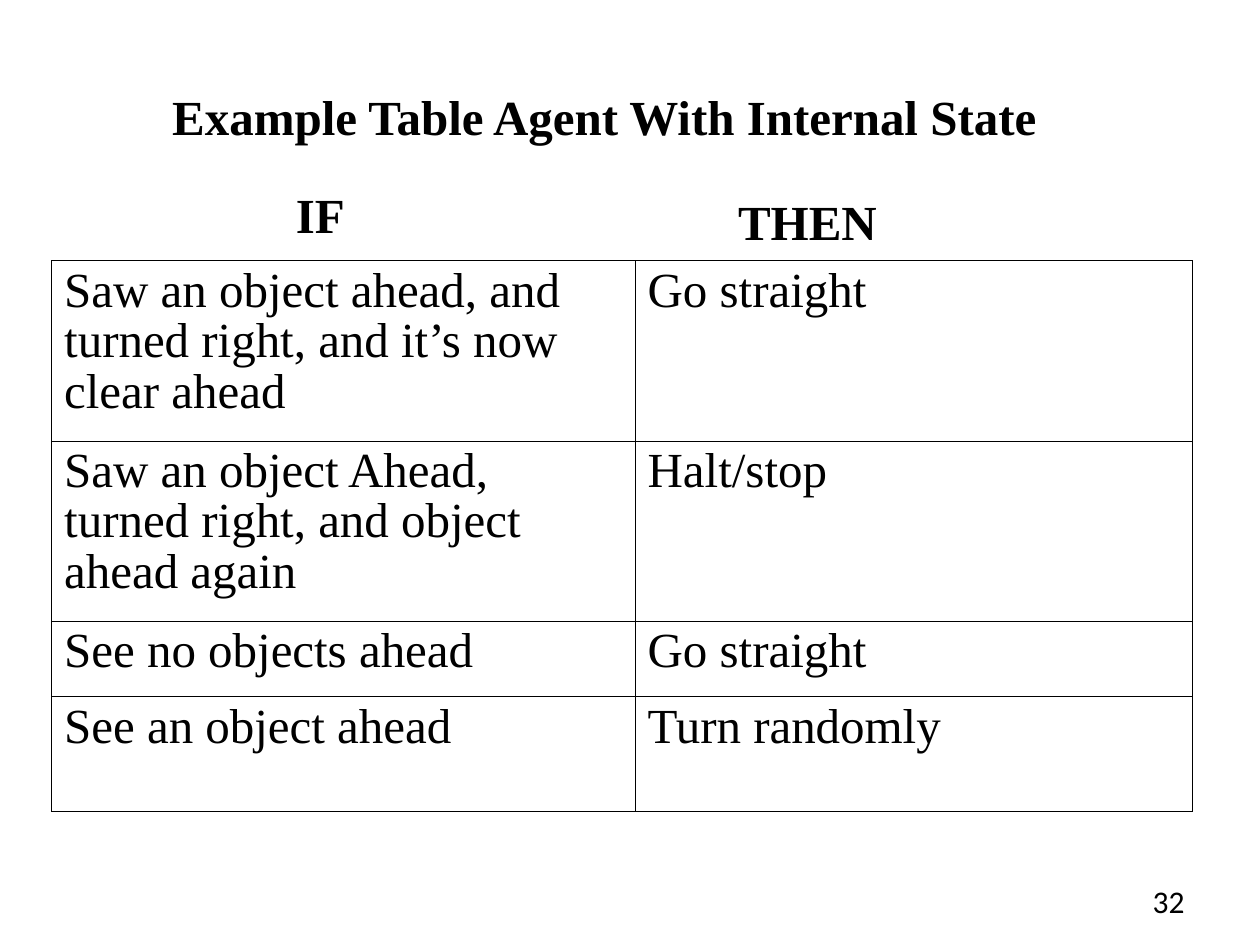
import pptx
import pptx.util
import pptx.dml.color
import pptx.enum.text
import pptx.oxml
import pptx.oxml.ns

Pt = pptx.util.Pt
Align = pptx.enum.text.PP_ALIGN
Anchor = pptx.enum.text.MSO_ANCHOR
Fit = pptx.enum.text.MSO_AUTO_SIZE


class Deck:
    """Hold the style and the current slide, and draw each kind of element."""

    hues = {"ink": "000000", "paper": "FFFFFF"}
    serif = "Times New Roman"
    sans = "Calibri"
    size = 28
    edge = 0.45

    def __init__(self, wide, high):
        self.show = pptx.Presentation()
        self.show.slide_width, self.show.slide_height = Pt(wide), Pt(high)
        self.slide = self.show.slides.add_slide(self.show.slide_layouts[6])
        fill = self.slide.background.fill
        fill.solid()
        fill.fore_color.rgb = self.hue("paper")

    def hue(self, name):
        return pptx.dml.color.RGBColor.from_string(self.hues[name])

    def style(self, para, face=None, size=None, bold=False):
        font = para.font
        font.name = face or self.serif
        font.size = Pt(size or self.size)
        font.bold = bold
        font.color.rgb = self.hue("ink")

    def text(self, words, left, top, wide, high, align=Align.LEFT,
             anchor=Anchor.TOP, wrap=True, fit=Fit.NONE, **look):
        box = self.slide.shapes.add_textbox(Pt(left), Pt(top), Pt(wide), Pt(high))
        frame = box.text_frame
        frame.word_wrap = wrap
        frame.auto_size = fit
        frame.vertical_anchor = anchor
        para = frame.paragraphs[0]
        para.text = words
        para.alignment = align
        self.style(para, **look)

    def border(self, cell):
        props = cell._tc.get_or_add_tcPr()
        space = pptx.oxml.ns.nsdecls("a")
        for spot, side in enumerate(("lnL", "lnR", "lnT", "lnB")):
            line = pptx.oxml.parse_xml(
                f'<a:{side} {space} w="{Pt(self.edge)}"><a:solidFill>'
                f'<a:srgbClr val="{self.hues["ink"]}"/></a:solidFill></a:{side}>')
            props.insert(spot, line)

    def table(self, rows, left, top, wides, highs):
        frame = self.slide.shapes.add_table(
            len(rows), len(wides), Pt(left), Pt(top), Pt(sum(wides)), Pt(sum(highs)))
        grid = frame.table
        grid.first_row = grid.horz_banding = False
        for col, wide in zip(grid.columns, wides):
            col.width = Pt(wide)
        for row, high, words in zip(grid.rows, highs, rows):
            row.height = Pt(high)
            for cell, word in zip(row.cells, words):
                cell.fill.background()
                self.border(cell)
                para = cell.text_frame.paragraphs[0]
                para.text = word
                para.line_spacing = 0.93
                self.style(para)

    def save(self):
        self.show.save("out.pptx")


def main():
    deck = Deck(720, 540)
    deck.text("Example Table Agent With Internal State", 9.4, 30.2, 671.8, 72,
              align=Align.CENTER, anchor=Anchor.MIDDLE, bold=True)
    rules = [
        ("Saw an object ahead, and turned right, and it’s now clear ahead",
         "Go straight"),
        ("Saw an object Ahead, turned right, and object ahead again",
         "Halt/stop"),
        ("See no objects ahead", "Go straight"),
        ("See an object ahead", "Turn randomly"),
    ]
    deck.table(rules, 29.5, 149, (333.4, 318.2), (103, 103, 43.2, 65.5))
    deck.text("IF", 162, 102.2, 43.2, 41, fit=Fit.SHAPE_TO_FIT_TEXT, bold=True)
    deck.text("THEN", 414.7, 105.8, 93.6, 41, wrap=False,
              fit=Fit.SHAPE_TO_FIT_TEXT, bold=True)
    deck.text("32", 516.2, 500.4, 167.8, 28.8, align=Align.RIGHT,
              anchor=Anchor.MIDDLE, face=deck.sans, size=18)
    deck.save()


if __name__ == "__main__":
    main()
